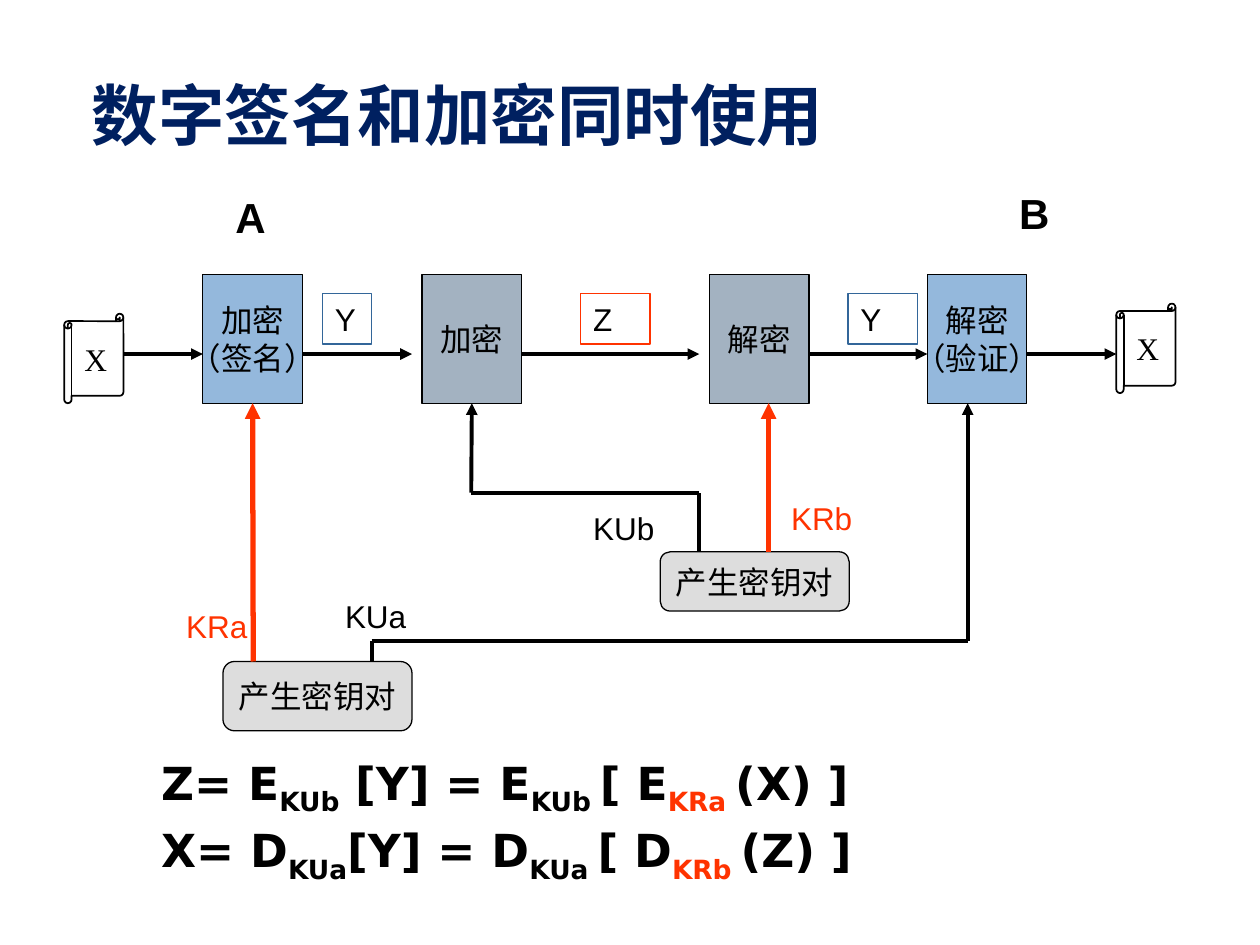
from lxml import etree
from pptx import Presentation
from pptx.dml.color import RGBColor
from pptx.enum.shapes import MSO_CONNECTOR, MSO_SHAPE
from pptx.enum.text import MSO_ANCHOR, PP_ALIGN
from pptx.oxml.ns import qn
from pptx.util import Inches, Pt

RECT, ROUNDED = MSO_SHAPE.RECTANGLE, MSO_SHAPE.ROUNDED_RECTANGLE
SCROLL = MSO_SHAPE.HORIZONTAL_SCROLL
STRAIGHT = MSO_CONNECTOR.STRAIGHT
TOP, MIDDLE, BOTTOM = MSO_ANCHOR.TOP, MSO_ANCHOR.MIDDLE, MSO_ANCHOR.BOTTOM
LEFT, CENTER = PP_ALIGN.LEFT, PP_ALIGN.CENTER
BOTTOM_SITE = 2

BLACK, RED, NAVY, SLATE = "000000", "FF3300", "002060", "336699"
BLUE, GREY, SILVER = "94B8DC", "A3B2C1", "DDDDDD"

# Content
TITLE = "数字签名和加密同时使用"
STEP_TOP, STEP_W, STEP_H = 2.18, 0.79, 1.02
STEP_BOTTOM = STEP_TOP + STEP_H
STEPS = [  # left, text, fill
    (1.61, "加密\n（签名）", BLUE),
    (3.35, "加密", GREY),
    (5.63, "解密", GREY),
    (7.36, "解密\n（验证）", BLUE),
]
SCROLL_W, SCROLL_H = 0.47, 0.71
SCROLLS = [(0.51, 2.49), (8.86, 2.41)]  # left, top
FLOW_Y = 2.81
FLOW_ENDS = [1.61, 3.27, 5.55, 7.36, 8.86]
MESSAGES = [  # left, width, text, outline
    (2.56, 0.39, "Y", SLATE),
    (4.61, 0.55, "Z", RED),
    (6.73, 0.55, "Y", SLATE),
]
PARTIES = [(1.77, 1.47, "A"), (7.99, 1.44, "B")]
KEY_PAIR = "产生密钥对"
A_KEYS_TOP, B_KEYS_TOP = 5.25, 4.38
KEY_PAIRS = [(1.77, A_KEYS_TOP, 0.55), (5.24, B_KEYS_TOP, 0.47)]  # left, top, height
KEY_LABELS = [  # left, top, width, text, colour
    (1.38, 4.77, 1.10, "KRa", RED),
    (2.64, 4.69, 0.87, "KUa", BLACK),
    (6.18, 3.91, 0.87, "KRb", RED),
    (4.61, 3.99, 0.87, "KUb", BLACK),
]
KEY_ROUTES = [  # points, colour, width, index of the step joined at its bottom
    ([(2.01, A_KEYS_TOP), (2.01, STEP_BOTTOM)], RED, 3, 0),
    ([(2.95, A_KEYS_TOP), (2.95, 5.09), (7.68, 5.09), (7.68, STEP_BOTTOM)], BLACK, 2.25, None),
    ([(6.1, B_KEYS_TOP), (6.1, STEP_BOTTOM)], RED, 3, None),
    ([(5.55, B_KEYS_TOP), (5.55, 3.91), (3.74, 3.91), (3.74, STEP_BOTTOM)], BLACK, 2.25, 1),
]
# Normal and subscript parts alternate; private keys are red
FORMULAS = [
    ["Z= E", "KUb", " [Y] = E", "KUb ", "[ E", "KRa ", "(X) ]"],
    ["X= D", "KUa", "[Y] = D", "KUa ", "[ D", "KRb ", "(Z) ]"],
]

prs = Presentation()
prs.slide_width, prs.slide_height = Inches(10), Inches(7.5)
slide = prs.slides.add_slide(prs.slide_layouts[6])
shapes = slide.shapes


def rgb(color):
    return RGBColor.from_string(color)


def style_font(font, size, color, name, bold=False):
    font.size, font.name, font.bold = Pt(size), name, bold
    font.color.rgb = rgb(color)


def write(shape, text, size=18, color=BLACK, font="Arial", bold=False,
          align=LEFT, anchor=TOP, wrap=True):
    frame = shape.text_frame
    frame.text = text
    frame.word_wrap, frame.vertical_anchor = wrap, anchor
    for paragraph in frame.paragraphs:
        paragraph.alignment = align
        for run in paragraph.runs:
            style_font(run.font, size, color, font, bold)


def label(left, top, width, height, text, **style):
    box = shapes.add_textbox(*map(Inches, (left, top, width, height)))
    write(box, text, **style)
    return box


def block(kind, left, top, width, height, text, fill=None, outline=BLACK,
          weight=0.75, **style):
    shape = shapes.add_shape(kind, *map(Inches, (left, top, width, height)))
    shape.shadow.inherit = False
    if fill:
        shape.fill.solid()
        shape.fill.fore_color.rgb = rgb(fill)
    else:
        shape.fill.background()
    shape.line.color.rgb, shape.line.width = rgb(outline), Pt(weight)
    write(shape, text, **style)
    return shape


def line(start, end, color=BLACK, weight=2.25, arrow=True):
    connector = shapes.add_connector(STRAIGHT, *map(Inches, (*start, *end)))
    connector.line.color.rgb, connector.line.width = rgb(color), Pt(weight)
    if arrow:
        etree.SubElement(connector.line._get_or_add_ln(), qn("a:tailEnd"), type="triangle")
    etree.SubElement(connector._element.spPr, qn("a:effectLst"))
    return connector


CENTERED = dict(align=CENTER, anchor=MIDDLE, wrap=False)

# Title and parties
label(0.63, 0.44, 8.75, 0.83, TITLE, size=38, color=NAVY, font="DejaVu Sans",
      bold=True, anchor=BOTTOM)
for left, top, party in PARTIES:
    label(left, top, 0.71, 0.5, party, size=24, bold=True)

# Documents, processing steps and key generators
for left, top in SCROLLS:
    block(SCROLL, left, top, SCROLL_W, SCROLL_H, "X", weight=1,
          font="Times New Roman", **CENTERED)
steps = [block(RECT, left, STEP_TOP, STEP_W, STEP_H, text, fill, **CENTERED)
         for left, text, fill in STEPS]
for left, top, height in KEY_PAIRS:
    block(ROUNDED, left, top, 1.5, height, KEY_PAIR, SILVER, **CENTERED)

# Message flow
flow_starts = [SCROLLS[0][0] + SCROLL_W] + [left + STEP_W for left, _, _ in STEPS]
for start, end in zip(flow_starts, FLOW_ENDS):
    line((start, FLOW_Y), (end, FLOW_Y))
for left, width, text, outline in MESSAGES:
    block(RECT, left, 2.33, width, 0.4, text, outline=outline)

# Key routes, with an arrowhead on the last leg
for points, color, weight, step in KEY_ROUTES:
    for start, end in zip(points, points[1:]):
        leg = line(start, end, color, weight, arrow=end == points[-1])
    if step is not None:
        leg.end_connect(steps[step], BOTTOM_SITE)
for left, top, width, text, color in KEY_LABELS:
    label(left, top, width, 0.4, text, color=color)

# Formulas
formula_frame = label(0.67, 5.95, 8.75, 1.1, "\n".join("" for _ in FORMULAS)).text_frame
for paragraph, parts in zip(formula_frame.paragraphs, FORMULAS):
    paragraph.line_spacing, paragraph.space_before = 0.9, Pt(6.5)
    properties = paragraph._p.get_or_add_pPr()
    properties.set("marL", str(Inches(0.99)))
    properties.set("indent", str(Inches(-0.48)))
    for index, part in enumerate(parts):
        run = paragraph.add_run()
        run.text = part
        style_font(run.font, 26, RED if part.startswith("KR") else BLACK, "DejaVu Sans", True)
        if index % 2:
            run._r.get_or_add_rPr().set("baseline", "-25000")

prs.save("out.pptx")
